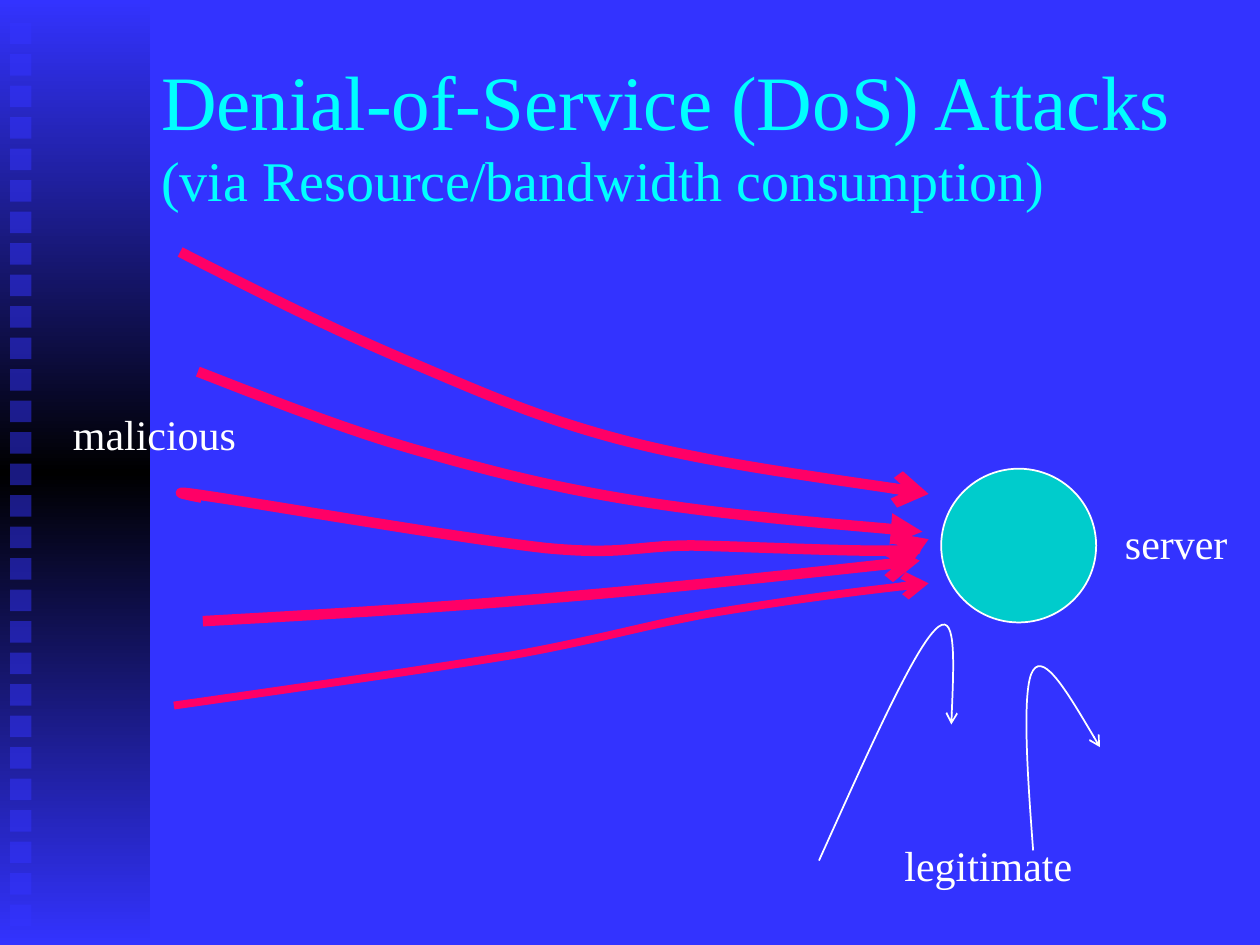
from copy import deepcopy
from dataclasses import dataclass

from lxml.etree import SubElement
from pptx import Presentation
from pptx.dml.color import RGBColor
from pptx.enum.shapes import MSO_SHAPE
from pptx.enum.text import MSO_ANCHOR, MSO_AUTO_SIZE
from pptx.oxml.ns import qn
from pptx.util import Inches, Pt


@dataclass(frozen=True)
class Theme:
    blue: RGBColor = RGBColor(0x33, 0x33, 0xFF)
    black: RGBColor = RGBColor(0, 0, 0)
    cyan: RGBColor = RGBColor(0, 0xFF, 0xFF)
    teal: RGBColor = RGBColor(0, 0xCC, 0xCC)
    red: RGBColor = RGBColor(0xFF, 0, 0x66)
    white: RGBColor = RGBColor(0xFF, 0xFF, 0xFF)
    font: str = "Times New Roman"
    title: int = 44
    second: int = 32
    label: int = 24


theme = Theme()
deck = Presentation()
deck.slide_width, deck.slide_height = Inches(10), Inches(7.5)
slide = deck.slides.add_slide(deck.slide_layouts[6])
shapes = slide.shapes
slide.background.fill.solid()
slide.background.fill.fore_color.rgb = theme.blue


def write(text, at, sizes=(theme.label,), color=theme.white, wrap=False):
    """Add a text box; each line of the text takes its own size."""
    box = shapes.add_textbox(*map(Inches, at))
    frame = box.text_frame
    frame.word_wrap = wrap
    frame.auto_size = MSO_AUTO_SIZE.NONE if wrap else MSO_AUTO_SIZE.SHAPE_TO_FIT_TEXT
    frame.vertical_anchor = MSO_ANCHOR.MIDDLE if wrap else MSO_ANCHOR.TOP
    para = frame.paragraphs[0]
    for i, (line, size) in enumerate(zip(text.split("\n"), sizes)):
        if i:
            para.add_line_break()
        run = para.add_run()
        run.text = line
        run.font.name, run.font.size = theme.font, Pt(size)
        run.font.color.rgb = color


def curve(points, color, width, head="arrow"):
    """Draw a Bezier arrow: a start, then three points for each piece."""
    start, *rest = [(Inches(x), Inches(y)) for x, y in points]
    pen = shapes.build_freeform(*start)
    pen.add_line_segments(rest, close=False)
    arrow = pen.convert_to_shape()
    arrow.shadow.inherit = False
    arrow.fill.background()
    arrow.line.color.rgb = color
    arrow.line.width = Pt(width)
    SubElement(arrow.line._get_or_add_ln(), qn("a:tailEnd"), type=head)
    # Turn each three line steps into one cubic piece
    steps = list(arrow._element.iter(qn("a:lnTo")))
    for i in range(0, len(steps), 3):
        piece = SubElement(steps[i].getparent(), qn("a:cubicBezTo"))
        for step in steps[i:i + 3]:
            piece.append(step[0])
            step.getparent().remove(step)


# Side panel, blue to black to blue
panel = shapes.add_shape(MSO_SHAPE.RECTANGLE, 0, 0, Inches(1.19), Inches(7.5))
panel.shadow.inherit = False
panel.line.fill.background()
panel.fill.gradient()
panel.fill.gradient_angle = 90
stops = next(panel._element.iter(qn("a:gsLst")))
stops.append(deepcopy(stops[0]))
shades = (theme.blue, theme.black, theme.blue)
for i, (stop, shade) in enumerate(zip(panel.fill.gradient_stops, shades)):
    stop.position = i / 2
    stop.color.rgb = shade

# Column of half-clear squares
for i in range(29):
    square = shapes.add_shape(MSO_SHAPE.RECTANGLE, Inches(0.08), Inches(0.18 + 0.25 * i),
                              Inches(0.17), Inches(0.17))
    square.shadow.inherit = False
    square.line.fill.background()
    square.fill.solid()
    square.fill.fore_color.rgb = theme.blue
    tint = next(square._element.spPr.iter(qn("a:srgbClr")))
    SubElement(tint, qn("a:alpha"), val="50000")

# Title
write("Denial-of-Service (DoS) Attacks\n(via Resource/bandwidth consumption)",
      (1.18, 0.43, 8.5, 1.25), sizes=(theme.title, theme.second),
      color=theme.cyan, wrap=True)

# Server
server = shapes.add_shape(MSO_SHAPE.OVAL, Inches(7.47), Inches(3.72),
                          Inches(1.23), Inches(1.22))
server.shadow.inherit = False
server.fill.solid()
server.fill.fore_color.rgb = theme.teal
server.line.color.rgb = theme.white
server.line.width = Pt(1)
write("server", (8.83, 4.06, 1.04, 0.5))

# Malicious traffic that floods the server
floods = [
    (6, "arrow", [(1.43, 2), (2.02, 2.3), (2.61, 2.6), (3.2, 2.85), (3.79, 3.1),
                  (4.27, 3.32), (4.97, 3.5), (5.66, 3.68), (6.96, 3.85), (7.37, 3.92)]),
    (4.5, "arrow", [(1.38, 5.6), (2.36, 5.46), (3.34, 5.32), (4.07, 5.2), (4.79, 5.07),
                    (5.2, 4.94), (5.75, 4.85), (6.3, 4.76), (6.83, 4.69), (7.37, 4.63)]),
    (6, "triangle", [(1.57, 2.95), (2.11, 3.16), (2.66, 3.38), (3.23, 3.55), (3.81, 3.72),
                     (4.34, 3.86), (5.02, 3.97), (5.7, 4.08), (6.51, 4.15), (7.32, 4.22)]),
    (6, "arrow", [(1.6, 3.95), (1.44, 3.92), (1.28, 3.88), (1.73, 3.95), (2.19, 4.02),
                  (3.7, 4.28), (4.33, 4.35), (4.96, 4.41), (5.04, 4.33), (5.5, 4.33),
                  (5.96, 4.34), (6.81, 4.38), (7.12, 4.37), (7.43, 4.36), (7.4, 4.32),
                  (7.37, 4.28)]),
    (6, "arrow", [(1.61, 4.93), (2.5, 4.88), (3.38, 4.83), (4.33, 4.75),
                  (5.28, 4.67), (6.29, 4.56), (7.3, 4.45)]),
]
for width, head, points in floods:
    curve(points, theme.red, width, head)
write("malicious", (0.48, 3.19, 1.52, 0.5))

# Legitimate traffic that is turned away
bounces = [
    [(6.5, 6.83), (6.87, 6.01), (7.24, 5.18), (7.42, 5), (7.59, 4.82), (7.57, 5.28),
     (7.55, 5.75)],
    [(8.2, 6.75), (8.15, 6.1), (8.11, 5.45), (8.2, 5.32), (8.29, 5.18), (8.51, 5.56),
     (8.73, 5.93)],
]
for points in bounces:
    curve(points, theme.white, 1)
write("legitimate", (7.08, 6.61, 1.54, 0.5))

deck.save("out.pptx")
